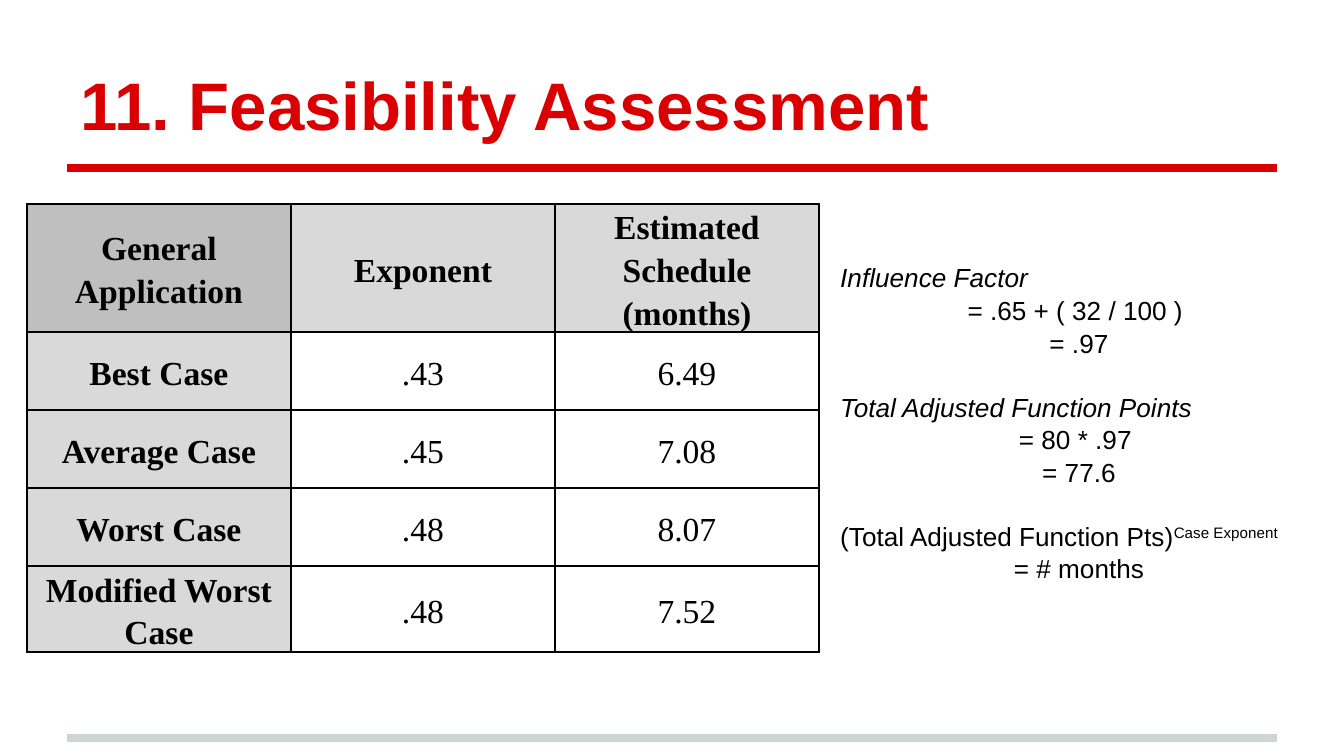
from lxml import etree
from pptx import Presentation
from pptx import util as u
from pptx.dml.color import RGBColor
from pptx.enum import shapes, text
from pptx.oxml import ns

TITLE = "11. Feasibility Assessment"
HEADER = ["General Application", "Exponent", "Estimated Schedule (months)"]
CASES = [
    ["Best Case", ".43", "6.49"],
    ["Average Case", ".45", "7.08"],
    ["Worst Case", ".48", "8.07"],
    ["Modified Worst Case", ".48", "7.52"],
]
FORMULAS = [
    {"name": "Influence Factor", "italic": True,
     "steps": ["= .65 + ( 32 / 100 ) ", "= .97"]},
    {"name": "Total Adjusted Function Points", "italic": True,
     "steps": ["= 80 * .97 ", "= 77.6"]},
    {"name": "(Total Adjusted Function Pts)", "italic": False,
     "power": "Case Exponent", "steps": ["= # months"]},
]
COLORS = {"red": "DA0002", "rule": "CFD4D4", "corner": "BFBFBF",
          "heading": "D9D9D9", "ink": "000000"}
RULES = [(738, "rule"), (168, "red")]
COLUMN_WIDTH = 264
ROW_HEIGHTS = [128, 78, 78, 78, 86]
PX = 914400 / 134.4


def px(*lengths):
    return [u.Emu(round(length * PX)) for length in lengths]


def color(name):
    return RGBColor.from_string(COLORS[name])


def format_span(span, size, font="Arial", ink="ink", bold=False, italic=False):
    span.font.size = u.Pt(size)
    span.font.name = font
    span.font.bold = bold
    span.font.italic = italic
    span.font.color.rgb = color(ink)


def set_margins(owner, across, down):
    owner.margin_left = owner.margin_right = u.Inches(across)
    owner.margin_top = owner.margin_bottom = u.Inches(down)


def add_rule(page, y, name):
    rule = page.shapes.add_connector(
        shapes.MSO_CONNECTOR.STRAIGHT, *px(67, y, 1277, y))
    rule.line.color.rgb = color(name)
    rule.line.width = u.Pt(4)
    etree.SubElement(rule._element.spPr, ns.qn("a:effectLst"))


def add_title(page):
    title = page.shapes.title
    title.left, title.top, title.width, title.height = px(67, 31, 1210, 126)
    frame = title.text_frame
    frame.text = TITLE
    frame.auto_size = text.MSO_AUTO_SIZE.NONE
    frame.vertical_anchor = text.MSO_ANCHOR.BOTTOM
    set_margins(frame, 0.1, 0.1)
    para = frame.paragraphs[0]
    para.alignment = text.PP_ALIGN.LEFT
    format_span(para.runs[0], 36, ink="red", bold=True)


def add_borders(cell):
    properties = cell._tc.get_or_add_tcPr()
    for index, side in enumerate(["lnL", "lnR", "lnT", "lnB"]):
        border = etree.Element(ns.qn("a:" + side), w=str(u.Pt(1)))
        fill = etree.SubElement(border, ns.qn("a:solidFill"))
        etree.SubElement(fill, ns.qn("a:srgbClr"), val=COLORS["ink"])
        properties.insert(index, border)


def add_schedule(page):
    rows = [HEADER] + CASES
    frame = page.shapes.add_table(
        len(rows), len(HEADER),
        *px(27, 204, COLUMN_WIDTH * len(HEADER), sum(ROW_HEIGHTS)))
    table = frame.table
    table.first_row = table.horz_banding = False
    for column in table.columns:
        column.width = px(COLUMN_WIDTH)[0]
    for i, (height, values) in enumerate(zip(ROW_HEIGHTS, rows)):
        table.rows[i].height = px(height)[0]
        for j, value in enumerate(values):
            cell = table.cell(i, j)
            heading = i == 0 or j == 0
            if heading:
                cell.fill.solid()
                cell.fill.fore_color.rgb = color("heading" if i or j else "corner")
            else:
                cell.fill.background()
            add_borders(cell)
            set_margins(cell, 0.07, 0)
            cell.vertical_anchor = text.MSO_ANCHOR.MIDDLE
            cell.text_frame.text = value
            para = cell.text_frame.paragraphs[0]
            para.alignment = text.PP_ALIGN.CENTER
            para.line_spacing = 1.15
            para.space_after = u.Pt(10)
            format_span(para.runs[0], 18, "Times New Roman", bold=heading)


def add_formulas(page):
    box = page.shapes.add_textbox(*px(827, 254, 504, 362))
    frame = box.text_frame
    frame.word_wrap = True
    set_margins(frame, 0.1, 0.05)
    for i, formula in enumerate(FORMULAS):
        for j, line in enumerate([formula["name"]] + formula["steps"]):
            para = frame.add_paragraph() if i or j else frame.paragraphs[0]
            para.text = line
            para.line_spacing = 1.04
            para.alignment = text.PP_ALIGN.CENTER if j else text.PP_ALIGN.LEFT
            if i and j == 0:
                para.space_before = u.Pt(16.8)
            format_span(para.runs[0], 14, italic=formula["italic"] and j == 0)
            if j == 0 and "power" in formula:
                power = para.add_run()
                power.text = formula["power"]
                format_span(power, 14)
                power._r.get_or_add_rPr().set("baseline", "30000")


def main():
    deck = Presentation()
    deck.slide_width, deck.slide_height = px(1344, 756)
    page = deck.slides.add_slide(deck.slide_layouts[5])
    for y, name in RULES:
        add_rule(page, y, name)
    add_title(page)
    add_schedule(page)
    add_formulas(page)
    deck.save("out.pptx")


if __name__ == "__main__":
    main()
